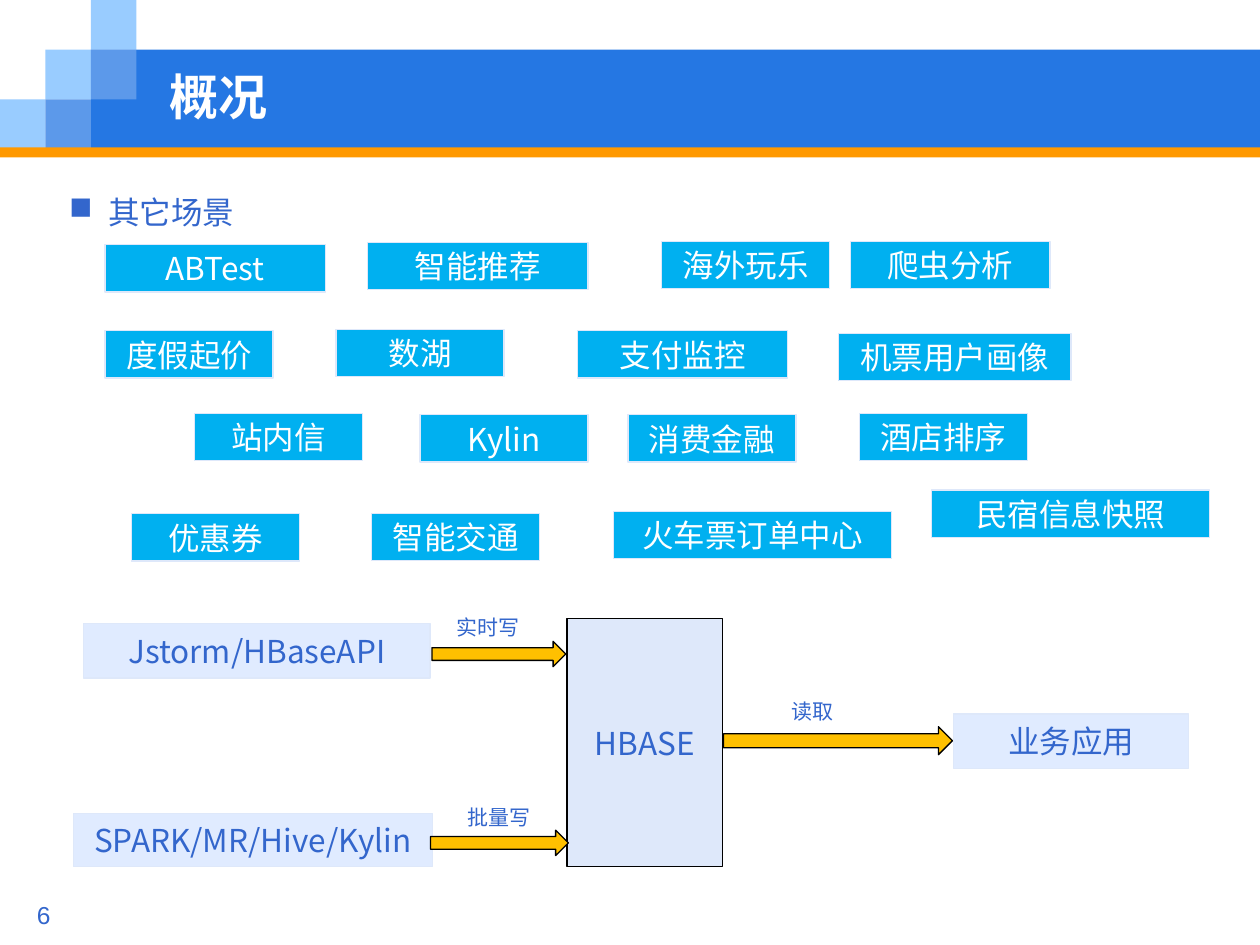
from dataclasses import dataclass

from lxml import etree
from pptx import Presentation
from pptx import util as u
from pptx.dml.color import RGBColor
from pptx.enum import shapes, text
from pptx.oxml import ns

Pt = u.Pt
Kind = shapes.MSO_SHAPE
Align = text.PP_ALIGN
Mid, Top = text.MSO_ANCHOR.MIDDLE, text.MSO_ANCHOR.TOP


@dataclass
class Theme:
    font: str = "Noto Sans CJK SC"
    num: str = "Arial"
    white: str = "FFFFFF"
    black: str = "000000"
    ink: str = "3366CC"
    band: str = "2577E3"
    light: str = "99CCFF"
    blend: str = "5C99EA"
    rule: str = "FF9900"
    chip: str = "00B0F0"
    pale: str = "E0EBFF"
    edge: str = "DEE8FA"
    arrow: str = "FFC000"
    head: int = 28
    body: int = 18
    page: int = 14
    note: int = 12


T = Theme()
deck = Presentation()
deck.slide_width, deck.slide_height = Pt(720), Pt(540)
slide = deck.slides.add_slide(deck.slide_layouts[6])


def draw(at, fill, line=None, kind=Kind.RECTANGLE):
    item = slide.shapes.add_shape(kind, *[Pt(v) for v in at])
    item.shadow.inherit = False
    item.fill.solid()
    item.fill.fore_color.rgb = RGBColor.from_string(fill)
    if line:
        item.line.color.rgb = RGBColor.from_string(line)
        item.line.width = Pt(0.75)
    else:
        item.line.fill.background()
    return item


def write(words, item=None, at=None, size=T.body, color=T.ink, font=T.font,
          bold=False, align=Align.CENTER, anchor=Mid):
    item = item or slide.shapes.add_textbox(*[Pt(v) for v in at])
    frame = item.text_frame
    frame.word_wrap = True
    frame.vertical_anchor = anchor
    para = frame.paragraphs[0]
    para.alignment = align
    run = para.add_run()
    run.text = words
    run.font.size, run.font.bold, run.font.name = Pt(size), bold, font
    run.font.color.rgb = RGBColor.from_string(color)
    # East Asian typeface
    etree.SubElement(run._r.get_or_add_rPr(), ns.qn("a:ea"), typeface=font)
    return frame


# Header band with its stepped squares
draw((52, 28.4, 668, 56.6), T.band)
side, tall = 26, 28.4
for col, row, fill in [(0, 2, T.light), (1, 1, T.light), (2, 0, T.light),
                       (2, 1, T.blend), (1, 2, T.blend)]:
    draw((col * side, row * tall, side, tall), fill)
draw((0, 84.2, 720, 5.8), T.rule)
write("概况", at=(90, 36, 582, 38), size=T.head, color=T.white, bold=True,
      align=Align.LEFT)

# Page number
write("6", at=(-6, 510, 42, 25), size=T.page, font=T.num, align=Align.RIGHT)

# Bulleted heading
frame = write("其它场景", at=(32.4, 87.8, 110, 44.6), align=Align.LEFT)
frame.margin_right = 0
para = frame.paragraphs[0]
para.line_spacing = 2.0
props = para._p.get_or_add_pPr()
props.set("marL", str(Pt(22.5)))
props.set("indent", str(Pt(-22.5)))
etree.SubElement(props, ns.qn("a:buChar"), char="■")

# Scenario chips: left, top, width, label
chips = [
    (60, 139.8, 126, "ABTest"), (210, 138.5, 126, "智能推荐"),
    (378, 138, 96, "海外玩乐"), (486, 138, 114, "爬虫分析"),
    (60, 189, 96, "度假起价"), (192, 188.2, 96, "数湖"),
    (330, 189, 120, "支付监控"), (479, 190.6, 133, "机票用户画像"),
    (111, 236.3, 96, "站内信"), (240, 237, 96, "Kylin"),
    (358.8, 237, 96, "消费金融"), (491, 236.3, 96, "酒店排序"),
    (75, 293.6, 96, "优惠券"), (212.3, 293.3, 96, "智能交通"),
    (350.6, 292.3, 159, "火车票订单中心"), (532.3, 280, 159, "民宿信息快照"),
]
for left, top, wide, label in chips:
    write(label, draw((left, top, wide, 27), T.chip, T.edge), color=T.white)

# Data flow boxes
write("HBASE", draw((324, 353.4, 89, 141.8), T.edge, T.black))
for at, label in [((47.8, 356.4, 198, 31), "Jstorm/HBaseAPI"),
                  ((42, 465, 205, 30.2), "SPARK/MR/Hive/Kylin"),
                  ((545, 408, 134, 31), "业务应用")]:
    write(label, draw(at, T.pale, T.edge))

# Block arrows and their labels
for at, spot, label in [
        ((246.8, 366.5, 76.5, 14.5), (252, 347.5, 54, 18), "实时写"),
        ((246, 474.4, 78.8, 14.5), (258, 456.2, 54, 18), "批量写"),
        ((413.5, 415.3, 130.8, 16), (437.5, 395.8, 54, 18), "读取")]:
    draw(at, T.arrow, T.black, Kind.RIGHT_ARROW)
    write(label, at=spot, size=T.note, anchor=Top)

deck.save("out.pptx")
